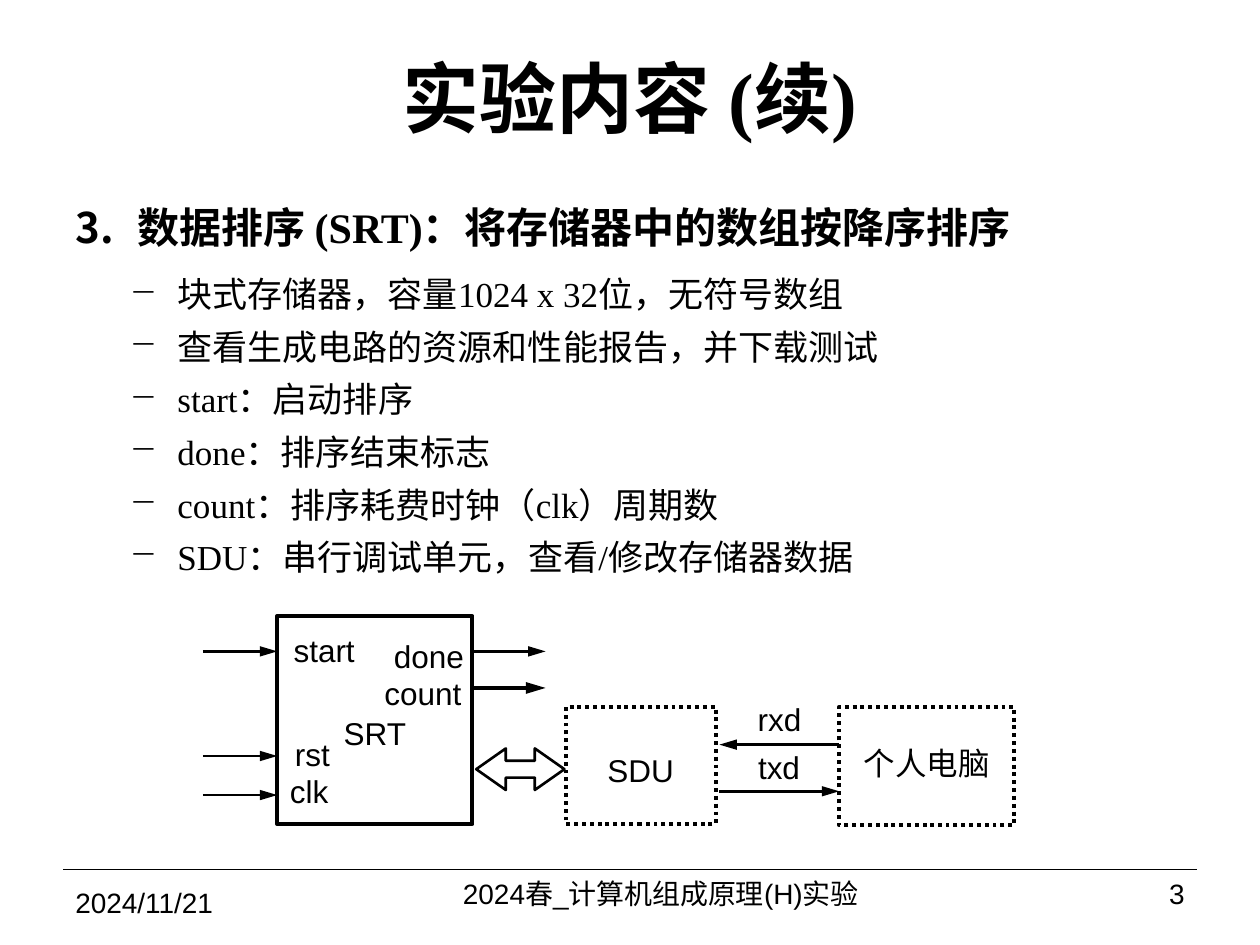
import pptx
import pptx.dml.color
import pptx.enum.dml
import pptx.enum.shapes
import pptx.enum.text
import pptx.oxml.ns
import pptx.util
from lxml import etree

Inches = pptx.util.Inches
Pt = pptx.util.Pt
Align = pptx.enum.text.PP_ALIGN
Anchor = pptx.enum.text.MSO_ANCHOR
Shape = pptx.enum.shapes.MSO_SHAPE
INK = "000000"
PAPER = "FFFFFF"
DOTTED = pptx.enum.dml.MSO_LINE.ROUND_DOT


def colour(value):
    return pptx.dml.color.RGBColor.from_string(value)


def add_element(parent, tag, **attributes):
    return etree.SubElement(parent, pptx.oxml.ns.qn(tag), attributes)


def write(paragraph, text, size=18, font="Arial", bold=False, align=Align.LEFT,
          spacing=None, before=None, after=None, indent=None, bullet=None, start=None):
    paragraph.alignment = align
    if spacing:
        paragraph.line_spacing = Pt(spacing)
    if before:
        paragraph.space_before = Pt(before)
    if after:
        paragraph.space_after = Pt(after)
    properties = paragraph._p.get_or_add_pPr()
    if indent:
        margin, first = indent
        properties.set("marL", str(Inches(margin)))
        properties.set("indent", str(Inches(first)))
    if bullet:
        add_element(properties, "a:buChar", char=bullet)
    if start:
        add_element(properties, "a:buAutoNum", type="arabicPeriod", startAt=str(start))
    run = paragraph.add_run()
    run.text = text
    run.font.size = Pt(size)
    run.font.name = font
    run.font.bold = bold
    run.font.color.rgb = colour(INK)


class Sheet:
    """Draws styled text, boxes and lines on one slide."""

    def __init__(self, slide):
        self.slide = slide

    def frame(self, shape, anchor, insets, wrap):
        frame = shape.text_frame
        frame.word_wrap = wrap
        frame.vertical_anchor = anchor
        (frame.margin_left, frame.margin_top,
         frame.margin_right, frame.margin_bottom) = map(Inches, insets)
        return frame

    def text(self, at, *entries, anchor=Anchor.MIDDLE,
             insets=(0.1, 0.05, 0.1, 0.05), wrap=True):
        box = self.slide.shapes.add_textbox(*map(Inches, at))
        frame = self.frame(box, anchor, insets, wrap)
        for index, (words, style) in enumerate(entries):
            paragraph = frame.add_paragraph() if index else frame.paragraphs[0]
            write(paragraph, words, **style)

    def box(self, at, label="", kind=Shape.RECTANGLE, width=2.25, dash=None,
            top=0, spacing=None, adjustments=()):
        shape = self.slide.shapes.add_shape(kind, *map(Inches, at))
        shape.shadow.inherit = False
        shape.fill.solid()
        shape.fill.fore_color.rgb = colour(PAPER)
        shape.line.color.rgb = colour(INK)
        shape.line.width = Pt(width)
        if dash:
            shape.line.dash_style = dash
        for index, value in enumerate(adjustments):
            shape.adjustments[index] = value
        if label:
            frame = self.frame(shape, Anchor.MIDDLE, (0, top, 0, 0), False)
            write(frame.paragraphs[0], label, align=Align.CENTER, spacing=spacing)

    def line(self, start, end, width=1.5, arrow=True):
        connector = self.slide.shapes.add_connector(
            pptx.enum.shapes.MSO_CONNECTOR.STRAIGHT, *map(Inches, start + end))
        connector.line.color.rgb = colour(INK)
        connector.line.width = Pt(width)
        if arrow:
            add_element(connector.line._get_or_add_ln(), "a:tailEnd",
                        type="triangle", w="med", len="lg")
        add_element(connector._element.spPr, "a:effectLst")


def main():
    deck = pptx.Presentation()
    deck.slide_width, deck.slide_height = Inches(10), Inches(7.5)
    sheet = Sheet(deck.slides.add_slide(deck.slide_layouts[6]))

    sheet.line((0.5, 6.9), (9.5, 6.9), width=0.75, arrow=False)
    sheet.text((0.5, 0.3, 9, 0.93), ("实验内容 (续)", dict(
        size=44, font="Times New Roman", bold=True, align=Align.CENTER)))

    heading = dict(size=24, font="Times New Roman", bold=True, after=6,
                   indent=(0.49, -0.49), start=3)
    detail = dict(size=20, font="Times New Roman", before=6,
                  indent=(0.81, -0.38), bullet="−")
    details = (
        "块式存储器，容量1024 x 32位，无符号数组",
        "查看生成电路的资源和性能报告，并下载测试",
        "start：启动排序",
        "done：排序结束标志",
        "count：排序耗费时钟（clk）周期数",
        "SDU：串行调试单元，查看/修改存储器数据",
    )
    sheet.text((0.5, 1.55, 8.91, 3.14),
               ("数据排序 (SRT)：将存储器中的数组按降序排序", heading),
               *((words, detail) for words in details), anchor=Anchor.TOP)

    for at, words, align in (
        ((2.83, 6.83, 4.83, 0.52), "2024春_计算机组成原理(H)实验", Align.CENTER),
        ((7.67, 6.83, 1.83, 0.52), "3", Align.RIGHT),
        ((0.5, 6.98, 2.33, 0.37), "2024/11/21", Align.LEFT),
    ):
        sheet.text(at, (words, dict(size=16, align=align)))

    sheet.box((2.2, 4.89, 1.55, 1.65), "SRT", top=0.2)
    sheet.box((4.49, 5.61, 1.19, 0.93), "SDU", dash=DOTTED, top=0.12, spacing=18)
    sheet.box((6.66, 5.61, 1.39, 0.94), "个人电脑", dash=DOTTED, spacing=18)
    sheet.box((3.78, 5.94, 0.7, 0.33), kind=Shape.LEFT_RIGHT_ARROW, width=1.5,
              adjustments=(0.404, 0.712))

    for at, port, align in (
        ((2.33, 5.01, 0.49, 0.3), "start", Align.LEFT),
        ((2.34, 5.84, 0.28, 0.29), "rst", Align.LEFT),
        ((2.3, 6.12, 0.38, 0.32), "clk", Align.LEFT),
        ((5.95, 5.63, 0.41, 0.15), "rxd", Align.RIGHT),
        ((5.95, 6.01, 0.4, 0.15), "txd", Align.RIGHT),
    ):
        sheet.text(at, (port, dict(align=align)), insets=(0, 0, 0, 0), wrap=False)
    for at, port in (((2.84, 4.9, 0.94, 0.39), "done"),
                     ((2.94, 5.2, 0.82, 0.46), "count")):
        sheet.text(at, (port, dict(align=Align.RIGHT, spacing=29)),
                   anchor=Anchor.TOP, wrap=False)

    for input_y in (5.17, 6, 6.31):
        sheet.line((1.61, input_y), (2.2, input_y))
    for output_y, width in ((5.17, 1.5), (5.46, 2.25)):
        sheet.line((3.75, output_y), (4.33, output_y), width)
    sheet.line((6.66, 5.91), (5.71, 5.91))
    sheet.line((5.71, 6.28), (6.66, 6.28))

    deck.save("out.pptx")


if __name__ == "__main__":
    main()
